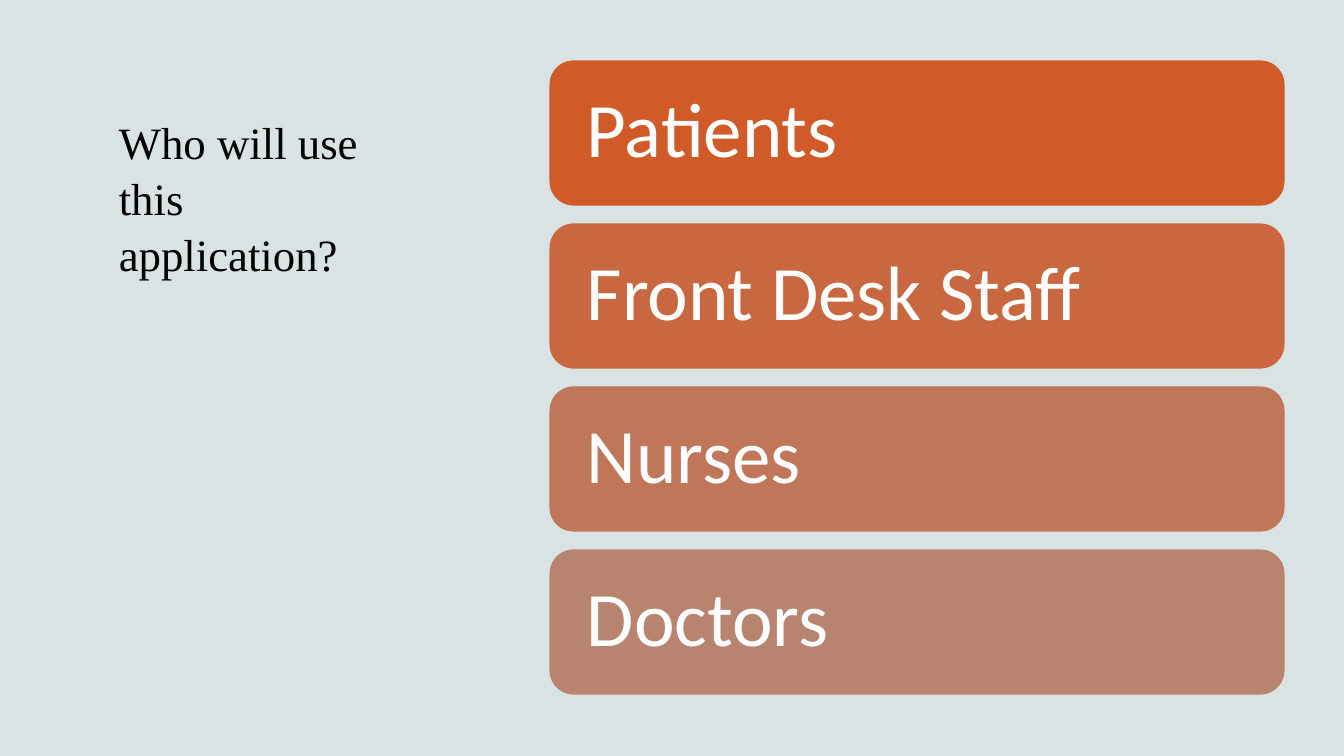
from pptx import Presentation
from pptx.dml.color import RGBColor
from pptx.enum.shapes import MSO_SHAPE
from pptx.enum.text import MSO_ANCHOR, PP_ALIGN
from pptx.util import Inches, Pt

ROUND = MSO_SHAPE.ROUNDED_RECTANGLE
TOP, MIDDLE = MSO_ANCHOR.TOP, MSO_ANCHOR.MIDDLE
LEFT = PP_ALIGN.LEFT

USERS = [
    ("Patients", "D15A29"),
    ("Front Desk Staff", "C96740"),
    ("Nurses", "C07659"),
    ("Doctors", "B88470"),
]
BAR_TOP, BAR_STEP = 0.6, 1.617


def color(code):
    return RGBColor.from_string(code)


def paint(fill, code):
    fill.solid()
    fill.fore_color.rgb = color(code)


def apply(target, values):
    for name, value in values.items():
        setattr(target, name, value)


def write(shape, text, code, font, frame, para):
    box = shape.text_frame
    apply(box, {"word_wrap": True, **frame})
    line = box.paragraphs[0]
    apply(line, {"alignment": LEFT, **para})
    run = line.add_run()
    run.text = text
    apply(run.font, font)
    run.font.color.rgb = color(code)


def add_title(slide, text):
    box = slide.shapes.add_textbox(
        Inches(1.08), Inches(1.04), Inches(3.06), Inches(5.13))
    write(box, text, "000000",
          {"name": "Times New Roman", "size": Pt(32)},
          {"vertical_anchor": TOP, "margin_top": Inches(0.08)},
          {"line_spacing": 1.04})


def add_bar(slide, top, text, code):
    bar = slide.shapes.add_shape(
        ROUND, Inches(5.45), Inches(top), Inches(7.29), Inches(1.44))
    bar.shadow.inherit = False
    paint(bar.fill, code)
    bar.line.fill.background()
    pad = Inches(0.3)
    write(bar, text, "FFFFFF",
          {"name": "Calibri", "size": Pt(55)},
          {"vertical_anchor": MIDDLE, "margin_left": pad,
           "margin_right": pad, "margin_top": pad, "margin_bottom": pad},
          {"line_spacing": 0.9})


def main():
    deck = Presentation()
    apply(deck, {"slide_width": Inches(13.33), "slide_height": Inches(7.5)})
    slide = deck.slides.add_slide(deck.slide_layouts[6])
    paint(slide.background.fill, "DAE3E3")
    add_title(slide, "Who will use this application?")
    for row, (user, code) in enumerate(USERS):
        add_bar(slide, BAR_TOP + row * BAR_STEP, user, code)
    deck.save("out.pptx")


main()
